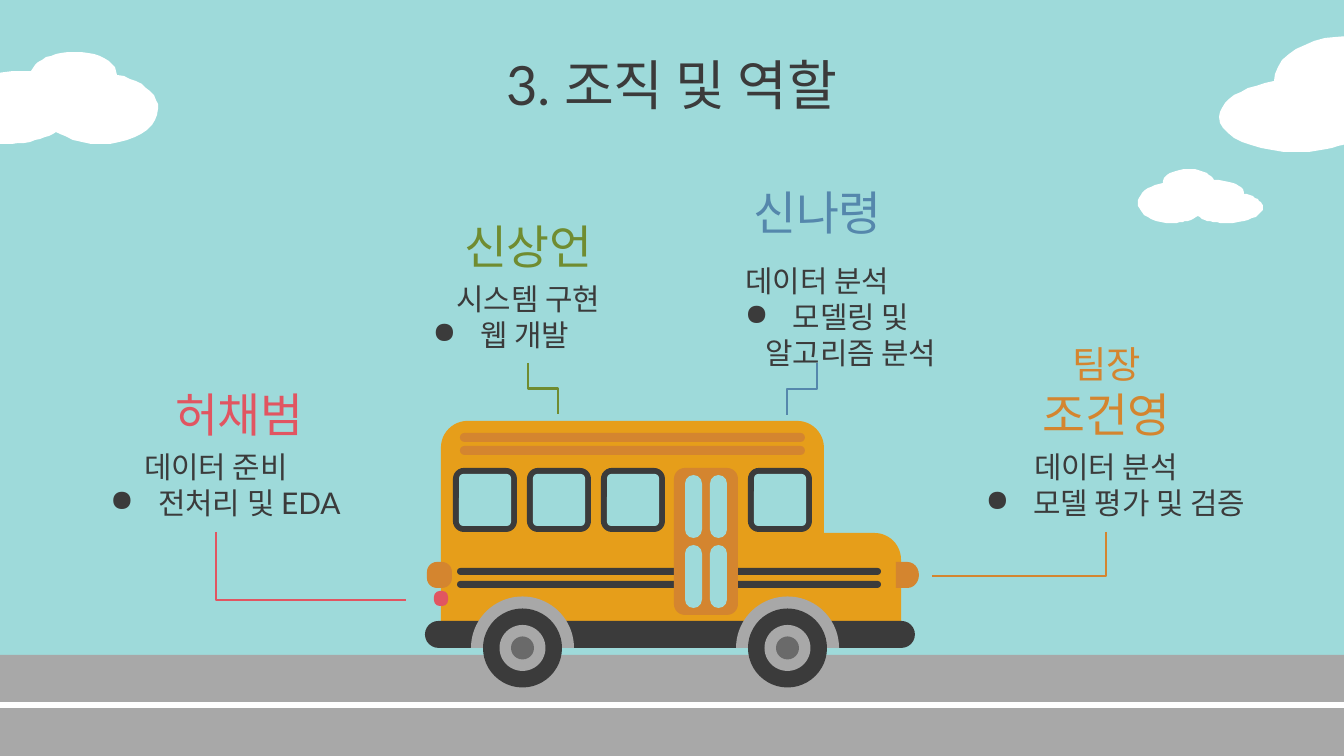
import pptx
import pptx.dml.color
import pptx.enum.shapes
import pptx.enum.text
import pptx.oxml.ns
import pptx.oxml.xmlchemy
import pptx.util

SCALE = 914400 / 134.4
SHAPE = pptx.enum.shapes.MSO_SHAPE
INK, SKY, GREY, WHITE = "3B3B3B", "9EDADA", "A8A8A8", "FFFFFF"
YELLOW, ORANGE, RED, BLUE, GREEN = "E69E1A", "D4852F", "E15561", "5587AC", "708C30"

CLOUDS = [
    ((1348, 36), [
        (1308, 36, 1274, 56, 1274, 81), (1242, 87, 1219, 101, 1219, 117),
        (1219, 136, 1254, 152, 1297, 152), (1318, 152, 1337, 148, 1353, 141),
        (1364, 149, 1380, 153, 1404, 153), (1438, 153, 1465, 141, 1465, 126),
        (1465, 113, 1445, 101, 1417, 99), (1421, 94, 1422, 87, 1422, 81),
        (1422, 56, 1390, 36, 1348, 36)]),
    ((1188, 169), [
        (1173, 169, 1163, 175, 1163, 183), (1148, 185, 1138, 194, 1138, 203),
        (1138, 214, 1152, 223, 1172, 223), (1181, 223, 1190, 221, 1198, 216),
        (1204, 221, 1215, 223, 1227, 223), (1247, 223, 1263, 216, 1263, 207),
        (1263, 202, 1255, 195, 1244, 194), (1244, 186, 1233, 180, 1214, 180),
        (1211, 173, 1200, 169, 1188, 169)]),
    ((74, 52), [
        (52, 52, 35, 60, 31, 71), (-3, 68, -21, 79, -21, 92),
        (-42, 97, -55, 106, -55, 117), (-55, 132, -28, 144, 5, 144),
        (27, 144, 46, 138, 56, 132), (70, 140, 85, 144, 100, 144),
        (133, 144, 158, 129, 158, 109), (158, 93, 141, 79, 117, 75),
        (117, 61, 98, 52, 74, 52)]),
]

MEMBERS = [
    (GREEN, (394, 215, 269, 62), [("신상언", 25)],
     (394, 271, 269, 91), "시스템 구현", "웹 개발", 74),
    (RED, (105, 383, 269, 62), [("허채범", 25)],
     (60, 439, 312, 91), "데이터 준비", "전처리 및 EDA", 0),
    (ORANGE, (972, 339, 269, 105), [("팀장", 20), ("조건영", 25)],
     (950, 439, 312, 91), "데이터 분석", "모델 평가 및 검증", 0),
    (BLUE, (683, 181, 269, 62), [("신나령", 25)],
     (683, 271, 269, 91), "데이터 분석", "모델링 및 알고리즘 분석", 0),
]

ELBOWS = [
    ((216, 532), (406, 600), RED, "bentConnector2"),
    ((1106, 532), (932, 576), ORANGE, "bentConnector2"),
    ((817, 363), (787, 415), BLUE, "bentConnector3"),
    ((528, 363), (558, 414), GREEN, "bentConnector3"),
]


def px(*values):
    """Turn pixel lengths into EMU."""
    return [pptx.util.Emu(round(v * SCALE)) for v in values]


def rgb(value):
    """Turn a hex string into a colour."""
    return pptx.dml.color.RGBColor.from_string(value)


def element(tag):
    """Make an empty XML element."""
    return pptx.oxml.xmlchemy.OxmlElement(tag)


def paint(sp, color):
    """Give a shape a flat fill without line or shadow."""
    sp.shadow.inherit = False
    sp.fill.solid()
    sp.fill.fore_color.rgb = rgb(color)
    sp.line.fill.background()


def add_block(s, kind, box, color, *adjustments):
    """Add a flat preset shape."""
    sp = s.shapes.add_shape(kind, *px(*box))
    for i, value in enumerate(adjustments):
        sp.adjustments[i] = value
    paint(sp, color)
    return sp


def add_rounded(s, box, color, radius=0.5):
    """Add a flat rounded rectangle."""
    return add_block(s, SHAPE.ROUNDED_RECTANGLE, box, color, radius)


def add_cloud(s, start, curves):
    """Add a white outline traced along Bezier curves."""
    points, (x0, y0) = [], start
    for x1, y1, x2, y2, x3, y3 in curves:
        for step in range(1, 11):
            t = step / 10
            u = 1 - t
            weights = u ** 3, 3 * u * u * t, 3 * u * t * t, t ** 3
            points.append(tuple(
                sum(w * v for w, v in zip(weights, axis))
                for axis in ((x0, x1, x2, x3), (y0, y1, y2, y3))))
        x0, y0 = x3, y3
    builder = s.shapes.build_freeform(*start, scale=SCALE)
    builder.add_line_segments(points)
    paint(builder.convert_to_shape(), WHITE)


def style_line(sp, color, width):
    """Set a connector's colour and width and drop its shadow."""
    sp.line.color.rgb = rgb(color)
    sp.line.width = pptx.util.Pt(width)
    sp._element.spPr.append(element("a:effectLst"))


def add_elbow(s, start, end, color, preset):
    """Add a bent connector that leaves its start downwards."""
    (x1, y1), (x2, y2) = start, end
    cx, cy = (x1 + x2) / 2, (y1 + y2) / 2
    w, h = y2 - y1, abs(x2 - x1)
    sp = s.shapes.add_connector(
        pptx.enum.shapes.MSO_CONNECTOR.ELBOW,
        *px(cx - w / 2, cy - h / 2, cx + w / 2, cy + h / 2))
    spPr = sp._element.spPr
    spPr.find(pptx.oxml.ns.qn("a:prstGeom")).set("prst", preset)
    xfrm = spPr.find(pptx.oxml.ns.qn("a:xfrm"))
    xfrm.set("rot", str((270 if x2 > x1 else 90) * 60000))
    if x2 > x1:
        xfrm.set("flipH", "1")
    style_line(sp, color, 1.5)


def write(tf, lines, color):
    """Fill a text frame with centred (text, size) lines."""
    tf.word_wrap = True
    tf.margin_left = tf.margin_right = tf.margin_top = tf.margin_bottom = pptx.util.Inches(0.1)
    tf.text = "\n".join(text for text, size in lines)
    for p, (text, size) in zip(tf.paragraphs, lines):
        p.alignment = pptx.enum.text.PP_ALIGN.CENTER
        for r in p.runs:
            r.font.name = "Lato"
            r.font.size = pptx.util.Pt(size)
            r.font.color.rgb = rgb(color)


def add_text(s, box, lines, color):
    """Add a vertically centred text box."""
    tf = s.shapes.add_textbox(*px(*box)).text_frame
    write(tf, lines, color)
    tf.vertical_anchor = pptx.enum.text.MSO_ANCHOR.MIDDLE
    return tf


def add_bullet(p, right):
    """Give a paragraph a round bullet and a right margin."""
    pPr = p._p.get_or_add_pPr()
    for name, value in zip(("marL", "indent", "marR"), px(67, -48, right)):
        pPr.set(name, str(int(value)))
    bullet = element("a:buChar")
    bullet.set("char", "●")
    pPr.append(bullet)


def add_member(s, color, name_box, names, role_box, role, task, right):
    """Add a member's name and role list."""
    tf = add_text(s, role_box, [(role, 16), (task, 16)], INK)
    add_bullet(tf.paragraphs[1], right)
    add_text(s, name_box, names, color)


def add_wheel(s, cx, cy=648):
    """Add a wheel under its arch."""
    def disc(kind, d, color, *adjustments):
        """Add a round shape about the axle."""
        return add_block(s, kind, (cx - d / 2, cy - d / 2, d, d), color, *adjustments)

    disc(SHAPE.BLOCK_ARC, 103, GREY, 108, 0, 0.22)
    disc(SHAPE.OVAL, 79, INK)
    disc(SHAPE.OVAL, 46, GREY)
    cap = disc(SHAPE.OVAL, 23, INK)
    alpha = element("a:alpha")
    alpha.set("val", "57000")
    cap._element.spPr.find(".//" + pptx.oxml.ns.qn("a:srgbClr")).append(alpha)


def add_bus(s):
    """Add the school bus."""
    add_block(s, SHAPE.ROUND_1_RECTANGLE, (473, 533, 428, 115), YELLOW, 0.23)
    add_block(s, SHAPE.ROUND_2_SAME_RECTANGLE, (441, 421, 383, 205), YELLOW, 0.13, 0)
    add_rounded(s, (425, 621, 490, 27), INK)
    for cx in (522.5, 787.5):
        add_wheel(s, cx)
    add_block(s, SHAPE.FLOWCHART_DELAY, (896, 562, 23, 26), ORANGE)
    add_rounded(s, (427, 562, 25, 26), ORANGE, 0.4)
    add_rounded(s, (434, 591, 14, 15), RED, 0.4)
    for i in range(2):
        add_rounded(s, (457, 568 + 13 * i, 424, 7), INK)
        add_rounded(s, (460, 433 + 13 * i, 345, 9), ORANGE)
    add_rounded(s, (674, 468, 64, 147), ORANGE, 0.17)
    for x in (685, 710):
        for y in (475, 545):
            add_rounded(s, (x, y, 17, 63), SKY)
    for x in (453, 527, 601, 748):
        add_rounded(s, (x, 468, 64, 64), INK, 0.17)
        add_rounded(s, (x + 6, 474, 52, 52), SKY, 0.08)


def add_road(s):
    """Add the road and its white line."""
    add_block(s, SHAPE.RECTANGLE, (0, 655, 1344, 101), GREY)
    sp = s.shapes.add_connector(
        pptx.enum.shapes.MSO_CONNECTOR.STRAIGHT, *px(0, 705, 1344, 705))
    style_line(sp, WHITE, 3.4)


def add_title(s, text):
    """Place and fill the title placeholder."""
    sp = s.shapes.title
    sp.left, sp.top, sp.width, sp.height = px(105, 38, 1134, 105)
    write(sp.text_frame, [(text, 29)], INK)
    sp.text_frame.vertical_anchor = pptx.enum.text.MSO_ANCHOR.TOP


def main():
    """Build and save the slide."""
    prs = pptx.Presentation()
    prs.slide_width, prs.slide_height = px(1344, 756)
    s = prs.slides.add_slide(prs.slide_layouts[5])
    s.background.fill.solid()
    s.background.fill.fore_color.rgb = rgb(SKY)
    add_title(s, "3. 조직 및 역할")
    for cloud in CLOUDS:
        add_cloud(s, *cloud)
    add_road(s)
    add_bus(s)
    for member in MEMBERS:
        add_member(s, *member)
    for elbow in ELBOWS:
        add_elbow(s, *elbow)
    prs.save("out.pptx")


if __name__ == "__main__":
    main()
